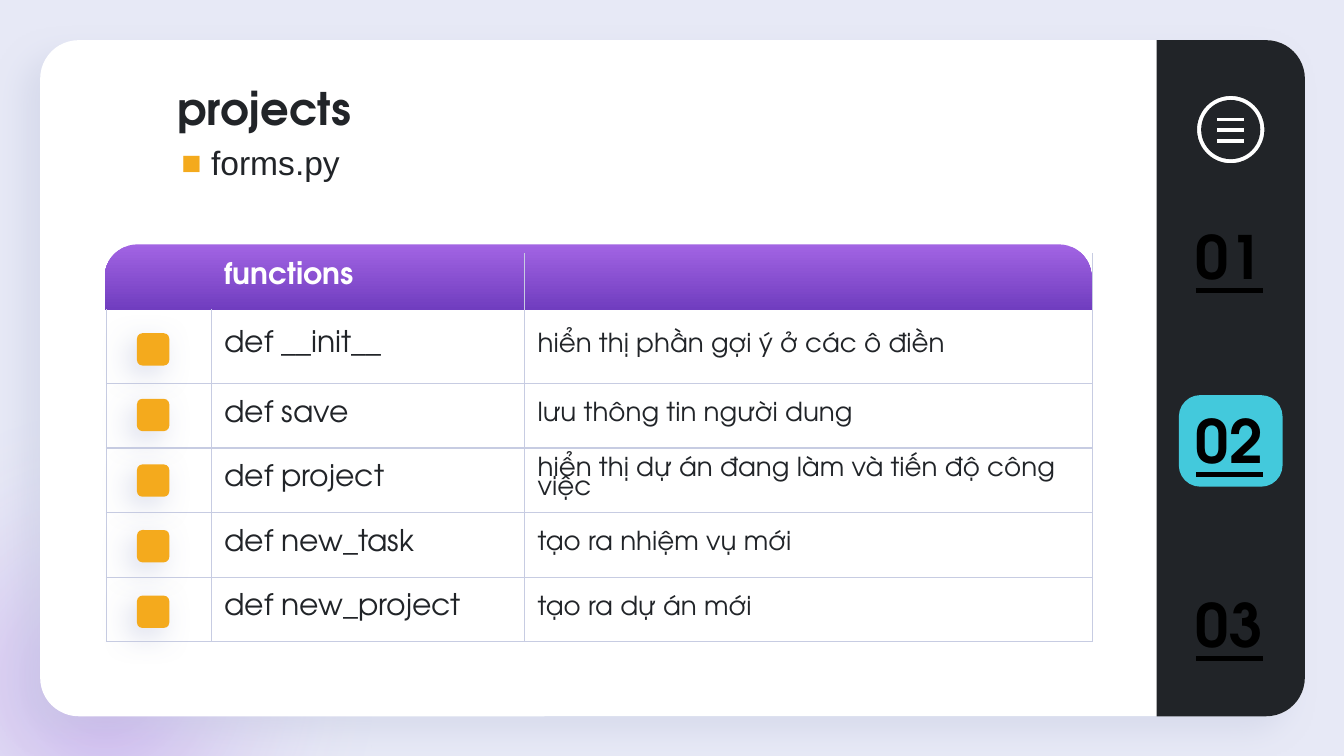
from lxml.etree import SubElement
from pptx import Presentation
from pptx.dml.color import RGBColor
from pptx.enum.shapes import MSO_SHAPE as Preset
from pptx.enum.text import MSO_ANCHOR as Anchor, PP_ALIGN as Align
from pptx.oxml import parse_xml
from pptx.oxml.ns import nsdecls, qn
from pptx.util import Cm, Pt

COLOURS = {
    "background": "E7E9F6", "white": "FFFFFF", "dark": "212428", "black": "000000",
    "orange": "F4AA1D", "violet": "A264E3", "purple": "703DBF", "teal": "43C9DC",
    "border": "C7CCE2",
}
FONT = "TeX Gyre Adventor"
TITLE, FILE_NAME = "projects", "forms.py"
HEADER = "functions"
FUNCTIONS = [
    ("def __init__", "hiển thị phần gợi ý ở các ô điền"),
    ("def save", "lưu thông tin người dung"),
    ("def project", "hiển thị dự án đang làm và tiến độ công việc"),
    ("def new_task", "tạo ra nhiệm vụ mới"),
    ("def new_project", "tạo ra dự án mới"),
]
SECTIONS = ["01", "02", "03"]
COLUMN_WIDTHS = [1.98, 5.92, 10.74]
ROW_HEIGHTS = [1.07, 1.4] + [1.22] * 4
HEADER_BORDERS = ["", "R", "LR"]


def rgb(name):
    return RGBColor.from_string(COLOURS[name])


def add_shape(slide, preset, box, colour, adjustments=()):
    shape = slide.shapes.add_shape(preset, *map(Cm, box))
    shape.shadow.inherit = False
    shape.line.fill.background()
    shape.fill.solid()
    shape.fill.fore_color.rgb = rgb(colour)
    for index, value in enumerate(adjustments):
        shape.adjustments[index] = value
    return shape


def add_shadow(shape, opacity, blur, distance, angle):
    effects = shape.element.spPr.find(qn("a:effectLst"))
    effects.append(parse_xml(
        f'<a:outerShdw {nsdecls("a")} blurRad="{Pt(blur)}" dist="{Pt(distance)}" '
        f'dir="{angle * 60000}" algn="bl" rotWithShape="0"><a:srgbClr val="{COLOURS["border"]}">'
        f'<a:alpha val="{opacity * 1000}"/></a:srgbClr></a:outerShdw>'))


def set_gradient(shape, stops, direction):
    stop_xml = "".join(
        f'<a:gs pos="{position * 1000}"><a:srgbClr val="{COLOURS[name]}">'
        f'<a:alpha val="{opacity * 1000}"/></a:srgbClr></a:gs>'
        for position, name, opacity in stops)
    properties = shape.element.spPr
    properties.replace(properties.find(qn("a:solidFill")), parse_xml(
        f'<a:gradFill {nsdecls("a")} rotWithShape="1"><a:gsLst>{stop_xml}</a:gsLst>'
        f'{direction}</a:gradFill>'))


def write(frame, text, size, colour, bold=False, font=FONT):
    frame.text = text
    run = frame.paragraphs[0].runs[0]
    run.font.name, run.font.size, run.font.bold = font, Pt(size), bold
    run.font.color.rgb = rgb(colour)
    return run


def set_margins(frame, left, top, right, bottom):
    frame.margin_left, frame.margin_top = Cm(left), Cm(top)
    frame.margin_right, frame.margin_bottom = Cm(right), Cm(bottom)


def add_text(slide, box):
    frame = slide.shapes.add_textbox(*map(Cm, box)).text_frame
    frame.word_wrap = True
    return frame


def add_background(slide):
    slide.background.fill.solid()
    slide.background.fill.fore_color.rgb = rgb("background")
    glow = add_shape(slide, Preset.OVAL, (-3.94, 6.93, 11.84, 11.84), "violet")
    set_gradient(glow, [(0, "violet", 49), (62, "background", 0), (100, "white", 0)],
                 '<a:path path="circle"><a:fillToRect l="50000" t="50000" r="50000" b="50000"/></a:path>')
    panel = add_shape(slide, Preset.ROUNDED_RECTANGLE, (0.76, 0.76, 23.9, 12.78), "white", [0.057])
    add_shadow(panel, 47, 16.9, 12, 137)
    sidebar = add_shape(slide, Preset.ROUND_2_SAME_RECTANGLE, (16.87, 5.75, 12.78, 2.8), "dark", [0.261, 0])
    sidebar.rotation = 90


def add_headings(slide):
    title = slide.shapes.title
    title.element.getparent().append(title.element)
    title.left, title.top, title.width, title.height = map(Cm, (3.35, 1.52, 8.23, 0.89))
    frame = title.text_frame
    set_margins(frame, 0, 0, 0.25, 0)
    frame.vertical_anchor = Anchor.TOP
    write(frame, TITLE, 24, "dark", bold=True)
    frame.paragraphs[0].alignment = Align.LEFT

    frame = add_text(slide, (3.35, 2.69, 8.23, 1.19))
    set_margins(frame, 0, 0, 0.25, 0)
    write(frame, FILE_NAME, 18, "dark", font="Arial")
    properties = frame.paragraphs[0]._p.get_or_add_pPr()
    properties.set("marL", str(Cm(0.64)))
    properties.set("indent", str(Cm(-0.56)))
    bullet_colour = SubElement(properties, qn("a:buClr"))
    SubElement(bullet_colour, qn("a:srgbClr"), val=COLOURS["orange"])
    SubElement(properties, qn("a:buFont"), typeface="Arial")
    SubElement(properties, qn("a:buChar"), char="■")


def format_cell(cell, sides):
    properties = cell._tc.get_or_add_tcPr()
    for side in "LRTB":
        fill = (f'<a:solidFill><a:srgbClr val="{COLOURS["border"]}"/></a:solidFill>'
                if side in sides else "<a:noFill/>")
        properties.append(parse_xml(f'<a:ln{side} {nsdecls("a")} w="{Pt(0.75)}">{fill}</a:ln{side}>'))
    cell.fill.background()
    cell.vertical_anchor = Anchor.MIDDLE
    set_margins(cell, 0.25, 0.13, 0.25, 0.13)


def add_function_table(slide):
    header = add_shape(slide, Preset.ROUND_2_SAME_RECTANGLE, (1.98, 4.62, 18.65, 1.24), "violet", [0.5, 0])
    set_gradient(header, [(0, "violet", 100), (100, "purple", 100)], '<a:lin ang="5400000" scaled="0"/>')
    table = slide.shapes.add_table(
        len(ROW_HEIGHTS), len(COLUMN_WIDTHS), Cm(2.01), Cm(4.78),
        Cm(sum(COLUMN_WIDTHS)), Cm(sum(ROW_HEIGHTS))).table
    table.first_row = table.horz_banding = False
    for column, width in zip(table.columns, COLUMN_WIDTHS):
        column.width = Cm(width)
    for row, height in zip(table.rows, ROW_HEIGHTS):
        row.height = Cm(height)
    for row_index, texts in enumerate([(HEADER, "")] + FUNCTIONS):
        is_header = row_index == 0
        for column_index, text in enumerate(("", *texts)):
            cell = table.cell(row_index, column_index)
            borders = HEADER_BORDERS[column_index] if is_header else "LRB" if row_index == 1 else "LRTB"
            format_cell(cell, borders)
            if is_header:
                cell.margin_top = 0
            if text:
                write(cell.text_frame, text, 16 if column_index == 1 else 14,
                      "white" if is_header else "dark", bold=is_header)
                cell.text_frame.paragraphs[0].line_spacing = 0.77
    for index in range(len(FUNCTIONS)):
        marker = add_shape(slide, Preset.ROUNDED_RECTANGLE, (2.59, 6.3 + 1.24 * index, 0.61, 0.61), "orange")
        add_shadow(marker, 63, 15.8, 6, 128)


def add_navigation(slide):
    add_shape(slide, Preset.ROUNDED_RECTANGLE, (22.28, 7.47, 1.96, 1.73), "teal", [0.234])
    ring = add_shape(slide, Preset.DONUT, (22.61, 1.8, 1.3, 1.3), "white", [0.08])
    bars = [add_shape(slide, Preset.RECTANGLE, (22.99, 2.21 + 0.2 * index, 0.53, 0.1), "white")
            for index in range(3)]
    for shape in [ring, *bars]:
        shape.line.color.rgb = rgb("dark")
        shape.line.width = Pt(0.75)
    for index, number in enumerate(SECTIONS):
        frame = add_text(slide, (22.22, 4.14 + 3.48 * index, 2.03, 1.37))
        set_margins(frame, 0.25, 0, 0.25, 0)
        frame.vertical_anchor = Anchor.MIDDLE
        write(frame, number, 32, "black", bold=True).font.underline = True
        frame.paragraphs[0].alignment = Align.CENTER


def main():
    """Build the slide listing the functions of a forms module."""
    presentation = Presentation()
    presentation.slide_width, presentation.slide_height = Cm(25.4), Cm(14.29)
    slide = presentation.slides.add_slide(presentation.slide_layouts[5])
    add_background(slide)
    add_headings(slide)
    add_function_table(slide)
    add_navigation(slide)
    presentation.save("out.pptx")


if __name__ == "__main__":
    main()
